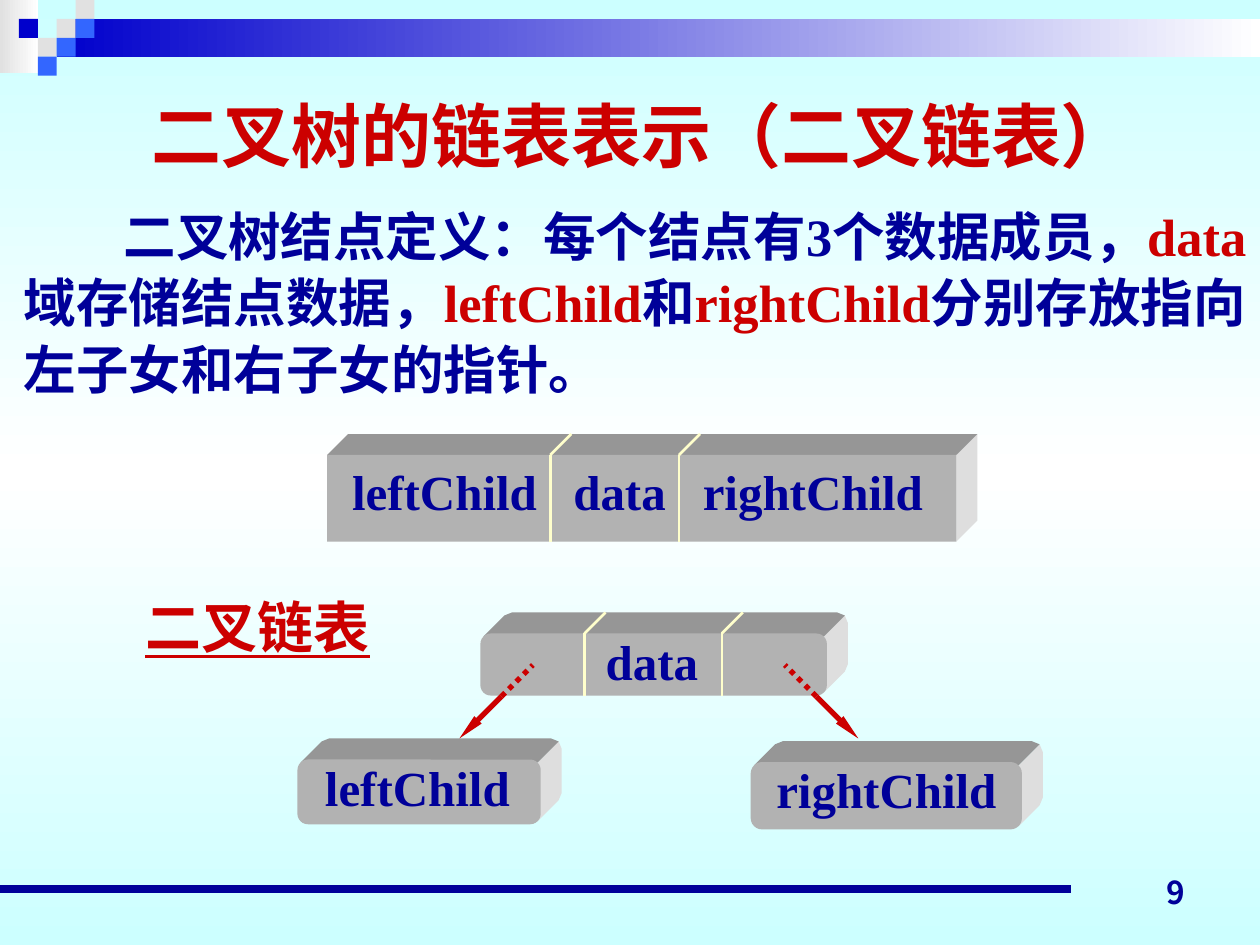
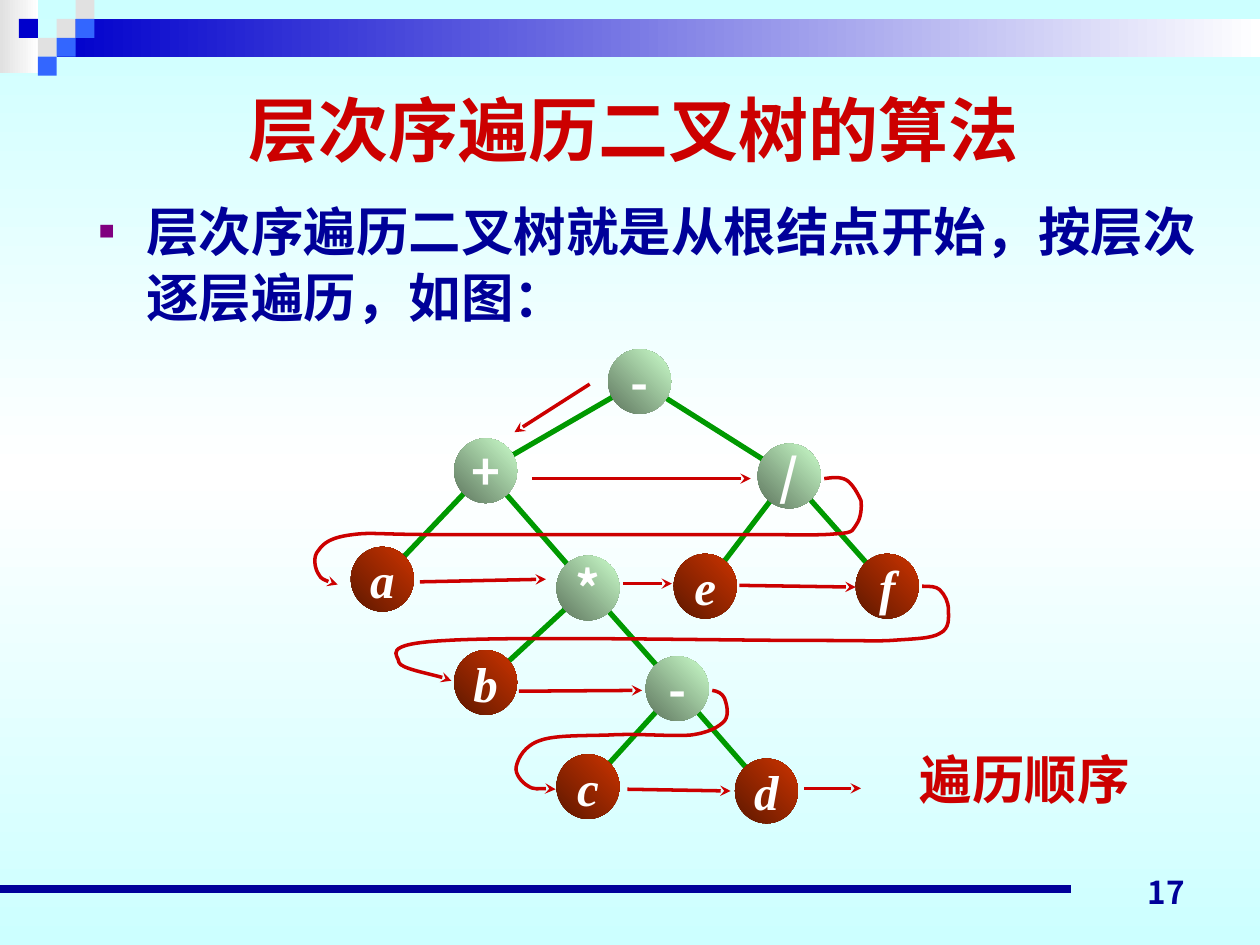
"""Two slides on binary trees: linked nodes and level-order traversal."""
import copy
import dataclasses
import itertools
import typing

import lxml.etree
import pptx
import pptx.dml.color
import pptx.enum.dml
import pptx.enum.shapes
import pptx.enum.text
import pptx.oxml.ns
import pptx.util

Pt = pptx.util.Pt
qn = pptx.oxml.ns.qn
Kind = pptx.enum.shapes.MSO_SHAPE
Align = pptx.enum.text.PP_ALIGN
Anchor = pptx.enum.text.MSO_ANCHOR
Dash = pptx.enum.dml.MSO_LINE

NAVY, RED, GREEN, CREAM, WHITE = "000099", "CC0000", "009900", "FFFFCC", "FFFFFF"
PALE, BLUE, SKY, CYAN = "E1E1E1", "0000CC", "3366FF", "CCFFFF"
FRONT, TOP, SIDE = "B2B2B2", "969696", "DEDEDE"
SERIF, SANS, HAN, DIGIT = "Times New Roman", "Arial", "Noto Sans CJK SC", "Noto Sans CJK JP"
STEP, DEPTH = 10.8, 12
DOTS = {PALE: [(3, 1), (4, 0), (2, 2)], SKY: [(4, 1), (3, 2), (2, 3)], BLUE: [(1, 1)]}


@dataclasses.dataclass
class Style:
    """Look of a text."""
    size: float = 28
    color: str = NAVY
    face: str = SERIF
    align: typing.Any = Align.CENTER
    anchor: typing.Any = Anchor.MIDDLE
    italic: bool = False
    line: bool = False
    wrap: bool = True


@dataclasses.dataclass
class Box:
    """A solid box with cuts across its front."""
    x: float
    y: float
    w: float
    h: float
    r: float = 0
    cuts: tuple = ()


@dataclasses.dataclass
class Node:
    """A tree node, placed by its centre, with the index of its parent."""
    text: str
    x: float
    y: float
    up: int


HEAD = Style(40, RED, SANS)
PAGE = Style(18, NAVY, DIGIT, Align.RIGHT, Anchor.BOTTOM)
BODY = Style(30, align=Align.LEFT, anchor=Anchor.TOP)
TAG = Style(wrap=False)


def hue(code: str):
    """Turn a hex string into a colour."""
    return pptx.dml.color.RGBColor.from_string(code)


def blend(fill, codes: list, angle: float) -> None:
    """Fill with evenly spaced colours."""
    fill.gradient()
    fill.gradient_angle = angle
    if len(codes) > 2:
        last = fill.gradient_stops[1]._gs
        for _ in codes[2:]:
            last.addnext(copy.deepcopy(last))
    for i, (stop, code) in enumerate(zip(fill.gradient_stops, codes)):
        stop.position = i / (len(codes) - 1)
        stop.color.rgb = hue(code)


def write(frame, words: str, style: Style):
    """Write one paragraph; every second part between bars is red."""
    frame.word_wrap = style.wrap
    frame.vertical_anchor = style.anchor
    para = frame.paragraphs[0]
    para.alignment = style.align
    font = para.font
    font.name, font.size, font.bold = style.face, Pt(style.size), True
    if style.italic:
        font.italic = True
    if style.line:
        font.underline = True
    font.color.rgb = hue(style.color)
    lxml.etree.SubElement(font._rPr, qn("a:ea"), typeface=HAN)
    parts = words.split("|")
    for part, code in zip(parts, itertools.cycle((style.color, RED))):
        run = para.add_run()
        run.text = part
        if len(parts) > 1:
            run.font.color.rgb = hue(code)
    return para


def label(slide, words: str, x: float, y: float, w: float, h: float, style: Style):
    """Place a text box."""
    box = slide.shapes.add_textbox(Pt(x), Pt(y), Pt(w), Pt(h))
    return write(box.text_frame, words, style)


def body(slide, words: str, x: float, y: float, w: float, h: float,
         left: float, first: float):
    """Place a body paragraph with its indents."""
    para = label(slide, words, x, y, w, h, BODY)
    para.line_spacing, para.space_before = 1.05, Pt(6)
    props = para._p.get_or_add_pPr()
    props.set("marL", str(Pt(left)))
    props.set("indent", str(Pt(first)))
    return para


def bullet(para, sign: str, code: str, size: int) -> None:
    """Give a paragraph a coloured bullet."""
    end = para.font._rPr
    for tag, attrs in (("buClr", {}), ("buSzPct", {"val": str(size * 1000)}),
                       ("buFont", {"typeface": SANS}), ("buChar", {"char": sign})):
        item = lxml.etree.Element(qn("a:" + tag), attrs)
        if tag == "buClr":
            lxml.etree.SubElement(item, qn("a:srgbClr"), val=code)
        end.addprevious(item)


def plain(shape, code: typing.Optional[str] = None):
    """Strip line and shadow, and fill if a colour is given."""
    shape.shadow.inherit = False
    shape.line.fill.background()
    if code:
        shape.fill.solid()
        shape.fill.fore_color.rgb = hue(code)
    return shape


def add(slide, kind, x: float, y: float, w: float, h: float,
        code: typing.Optional[str] = None):
    """Add a plain preset shape."""
    return plain(slide.shapes.add_shape(kind, Pt(x), Pt(y), Pt(w), Pt(h)), code)


def stroke(line, code: str, width: float, tail: str = "", **size: str) -> None:
    """Style a line and its arrowhead."""
    line.color.rgb, line.width = hue(code), Pt(width)
    if tail:
        lxml.etree.SubElement(line._get_or_add_ln(), qn("a:tailEnd"), type=tail, **size)


def link(slide, ends: tuple, code: str, width: float, tail: str = "", **size: str):
    """Draw a straight line."""
    wire = slide.shapes.add_connector(
        pptx.enum.shapes.MSO_CONNECTOR.STRAIGHT, *(Pt(v) for v in ends))
    stroke(wire.line, code, width, tail, **size)
    lxml.etree.SubElement(wire._element.spPr, qn("a:effectLst"))
    return wire


def outline(slide, spots: list, close: bool):
    """Build a freeform through the given points."""
    spots = [(Pt(x), Pt(y)) for x, y in spots]
    form = slide.shapes.build_freeform(*spots[0])
    form.add_line_segments(spots[1:], close=close)
    return form.convert_to_shape()


def curve(slide, spots: list) -> None:
    """Draw a red Bezier arrow, three points to a bend."""
    shape = outline(slide, spots, False)
    shape.shadow.inherit = False
    shape.fill.background()
    stroke(shape.line, RED, 2, "stealth")
    legs = list(shape._element.iter(qn("a:lnTo")))
    for trio in zip(legs[::3], legs[1::3], legs[2::3]):
        bend = lxml.etree.Element(qn("a:cubicBezTo"))
        trio[0].addprevious(bend)
        for leg in trio:
            bend.append(leg[0])
            leg.getparent().remove(leg)


def block(slide, box: Box) -> None:
    """Draw a solid box and its cuts."""
    x, y, w, h, r, d = box.x, box.y, box.w, box.h, box.r, DEPTH
    k = 0.29 * r
    roof = [(k, k), (k + d, k - d), (r + d, -d), (w - r + d, -d), (w - k + d, k - d), (w - k, k)]
    wall = [(w - k, k), (w - k + d, k - d), (w + d, r - d), (w + d, h - r - d),
            (w - k + d, h - k - d), (w - k, h - k)]
    for face, code in ((wall, SIDE), (roof, TOP)):
        plain(outline(slide, [(x + a, y + b) for a, b in face], True), code)
    front = add(slide, Kind.ROUNDED_RECTANGLE if r else Kind.RECTANGLE, x, y, w, h, FRONT)
    if r:
        front.adjustments[0] = r / h
    for cut in box.cuts:
        link(slide, (cut, y + h, cut, y), CREAM, 1.5)
        link(slide, (cut, y, cut + d, y - d), CREAM, 1.5)


def start(deck, title: str, top: float, page: int):
    """Add a slide with the shared backdrop, title and page number."""
    slide = deck.slides.add_slide(deck.slide_layouts[6])
    blend(slide.background.fill, [CYAN, WHITE, CYAN], 270)
    blend(add(slide, Kind.RECTANGLE, 0, 0, 22, 41.5).fill, [PALE, WHITE], 0)
    blend(add(slide, Kind.RECTANGLE, 32.4, STEP, 687.6, 21.6).fill, [BLUE, WHITE], 0)
    for code, cells in DOTS.items():
        for col, row in cells:
            add(slide, Kind.RECTANGLE, col * STEP, row * STEP, STEP, STEP, code)
    link(slide, (0, 508, 612, 508), NAVY, 4.5)
    label(slide, str(page), 516, 488, 168, 36, PAGE)
    label(slide, title, 38, top, 648, 78, HEAD)
    return slide


def chain(deck) -> None:
    """Build the slide on linked nodes."""
    slide = start(deck, " 二叉树的链表表示（二叉链表）", 38, 9)
    body(slide, "二叉树结点定义：每个结点有3个数据成员，|data|域存储结点数据，|leftChild|和"
         "|rightChild|分别存放指向左子女和右子女的指针。", 6.5, 111.5, 713.5, 125, 0, 57)
    for box in (Box(187, 260, 359.5, 49.5, cuts=(314.5, 388)),
                Box(274.5, 362, 198, 35.5, 6, (334, 412.5)),
                Box(429, 435.5, 155, 38.5, 6.5), Box(170, 434, 139, 37, 6)):
        block(slide, box)
    for words, x, y in (("leftChild", 254, 280.5), ("data", 354, 280.5),
                        ("rightChild", 464.5, 280.5), ("data", 372.5, 377.5),
                        ("leftChild", 238.5, 449.5), ("rightChild", 506.5, 451)):
        label(slide, words, x - 70, y - 20.5, 140, 41, TAG)
    for x, way in ((286.5, -1), (466.5, 1)):
        link(slide, (x, 398, x + way * 24, 422), RED, 3, "triangle", w="sm", len="lg")
        link(slide, (x, 398, x - way * 18, 380), RED, 3).line.dash_style = Dash.ROUND_DOT
    label(slide, "二叉链表", 75.5, 335, 143.5, 45, Style(32, RED, line=True))


def walk(deck) -> None:
    """Build the slide on level-order traversal."""
    slide = start(deck, "层次序遍历二叉树的算法", 34.5, 17)
    para = body(slide, "层次序遍历二叉树就是从根结点开始，按层次逐层遍历，如图：",
                49.5, 108.5, 648, 306, 27, -27)
    bullet(para, "■", "800080", 50)
    label(slide, "遍历顺序", 518.5, 423.5, 162, 43, dataclasses.replace(BODY, color=RED))
    nodes = [Node("-", 365.5, 218, -1), Node("+", 277.5, 269, 0), Node("/", 451, 272, 0),
             Node("a", 218.5, 331, 1), Node("*", 336, 336, 1), Node("e", 403, 335, 2),
             Node("f", 507, 335, 2), Node("b", 277.5, 390, 4), Node("-", 387, 393.5, 4),
             Node("c", 336, 449.5, 8), Node("d", 438, 452, 8)]
    for node in nodes[1:]:
        top = nodes[node.up]
        link(slide, (top.x, top.y, node.x, node.y), GREEN, 3)
    for node in nodes:
        leaf = node.text.isalpha()
        ball = add(slide, Kind.OVAL, node.x - 18, node.y - 18.5, 36, 37)
        blend(ball.fill, ["5E1800", "CC3300"] if leaf else ["5E765E", "CCFFCC"], 45)
        frame = ball.text_frame
        frame.margin_left = frame.margin_right = frame.margin_top = frame.margin_bottom = 0
        write(frame, node.text, Style(color=WHITE, face=SERIF if leaf else HAN,
                                      italic=leaf, wrap=False))
    for ends in ((337, 219.5, 294, 247), (304, 273.5, 429, 273.5), (240, 332.5, 312, 331),
                 (356, 333.5, 384, 333.5), (422.5, 334.5, 489, 335.5), (296.5, 395, 367, 394.5),
                 (358.5, 451, 417.5, 452), (459.5, 450.5, 492, 450.5)):
        link(slide, ends, RED, 2, "stealth")
    curve(slide, [(471, 273.5), (475, 273), (480, 272), (484, 274.5), (487, 276.5), (490, 281.5),
                  (492, 286), (492.5, 290), (492, 296), (489.5, 299.5), (487, 302.5),
                  (489, 304.5), (478, 305), (467, 306), (461.5, 305.5), (424, 305.5),
                  (387, 305.5), (290, 305.5), (253, 305.5), (215, 305.5), (213, 304),
                  (201.5, 305.5), (189.5, 307), (185, 310), (182, 314.5), (178.5, 318),
                  (180, 325), (182, 328), (183.5, 331), (190, 333.5), (193, 334)])
    curve(slide, [(527, 335), (531, 335), (535, 335), (537, 337), (540, 340), (542, 344),
                  (542, 348.5), (542, 353), (543, 359), (537, 362), (532, 365), (522, 365),
                  (509, 366), (496, 366.5), (504, 366), (461.5, 366), (419, 366), (294, 363.5),
                  (255, 366), (216, 368), (228, 374.5), (228, 378.5), (229, 382),
                  (253.5, 386.5), (258, 389)])
    curve(slide, [(407, 394.5), (410, 395), (412.5, 396), (414, 399), (415, 402), (417, 408),
                  (414, 412), (411, 415), (406, 418.5), (395, 420), (384.5, 421), (363.5, 419),
                  (348.5, 420), (334, 420.5), (317.5, 420), (309, 423), (299.5, 426),
                  (296, 433.5), (295, 438), (294, 442), (298, 447), (301.5, 449),
                  (305, 451.5), (315, 450), (317.5, 451)])


deck = pptx.Presentation()
deck.slide_width, deck.slide_height = Pt(720), Pt(540)
chain(deck)
walk(deck)
deck.save("out.pptx")
